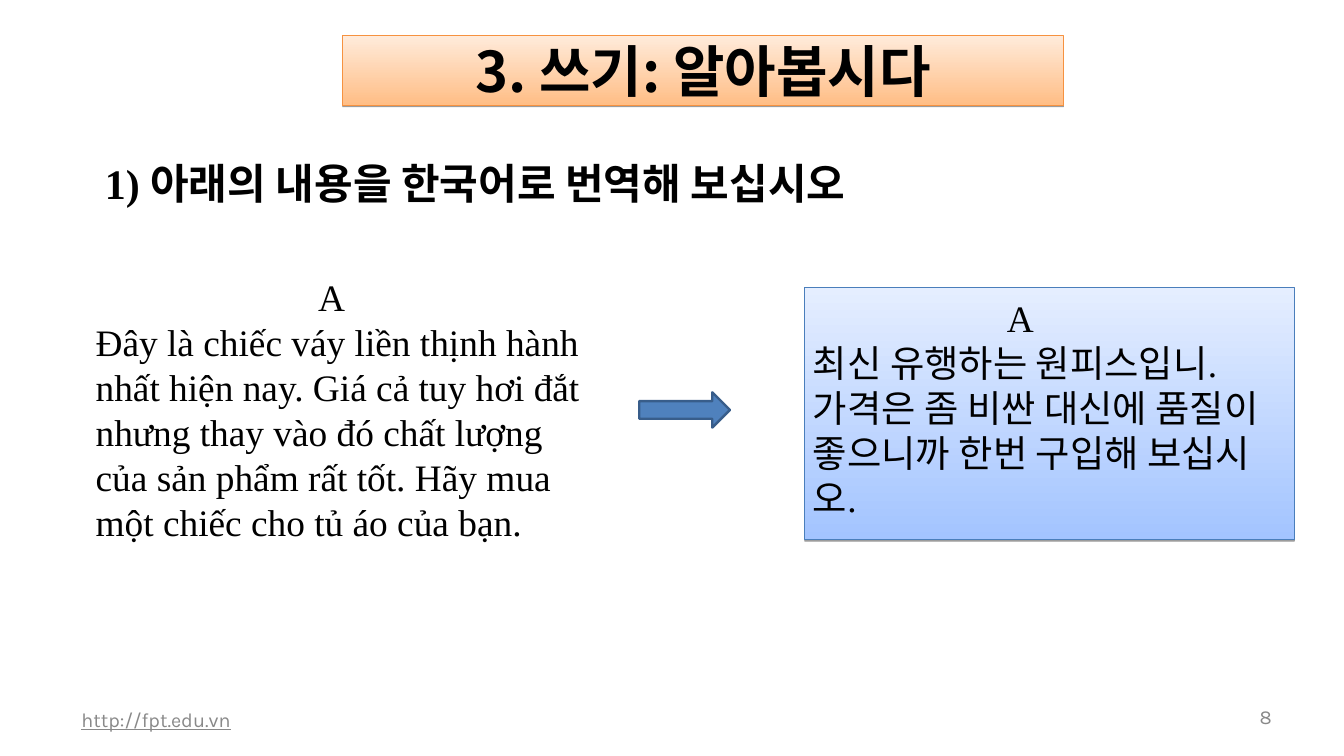
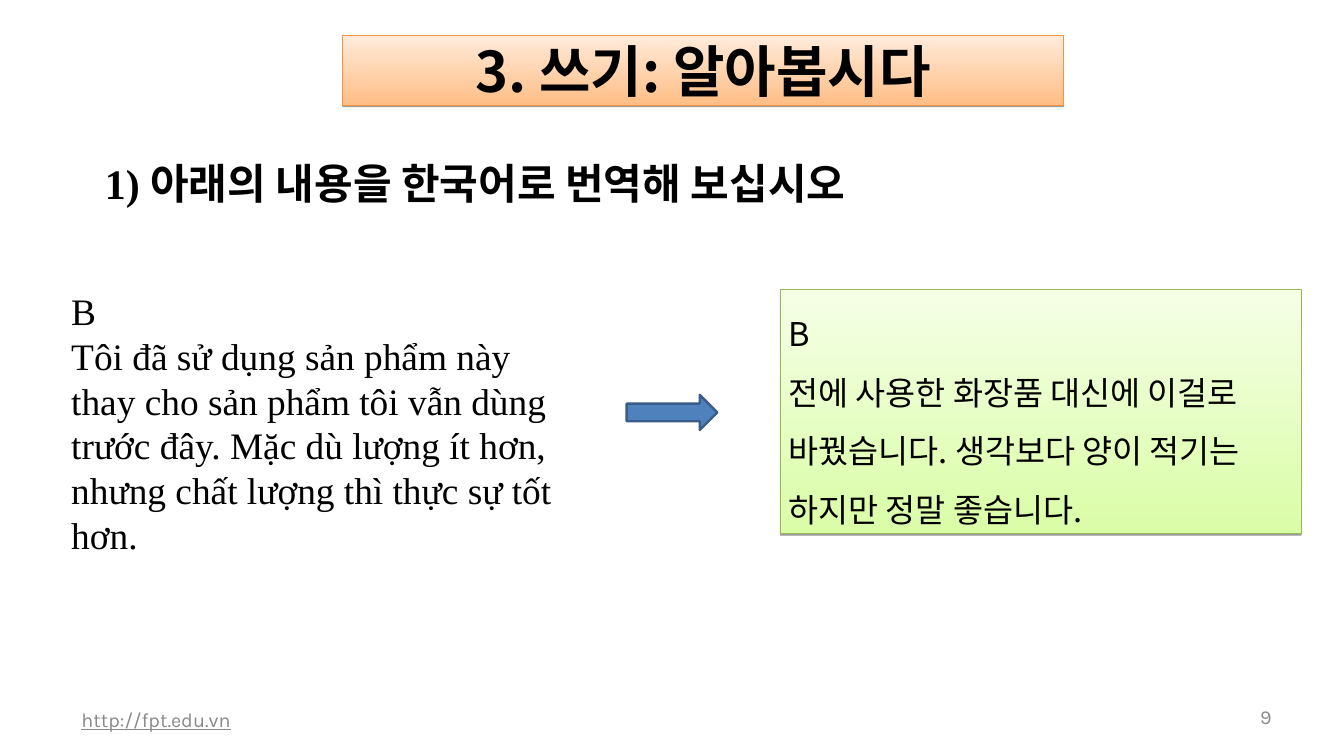
from lxml import etree
from pptx import Presentation
from pptx import util as u
from pptx.dml.color import RGBColor
from pptx.enum import shapes, text
from pptx.oxml.ns import qn

W, H = 16, 9
BLACK = RGBColor(0x00, 0x00, 0x00)
GREY = RGBColor(0x89, 0x89, 0x89)
ARROW_FILL = RGBColor(0x4F, 0x81, 0xBD)
ARROW_LINE = RGBColor(0x38, 0x5D, 0x8A)
ORANGE = (RGBColor(0xFF, 0xBE, 0x86), RGBColor(0xFF, 0xEB, 0xDB), RGBColor(0xF6, 0x92, 0x40))
BLUE = (RGBColor(0xA3, 0xC4, 0xFF), RGBColor(0xE5, 0xEE, 0xFF), RGBColor(0x4A, 0x7E, 0xBB))
GREEN = (RGBColor(0xDA, 0xFD, 0xA7), RGBColor(0xF5, 0xFF, 0xE6), RGBColor(0x98, 0xB9, 0x54))

KOREAN = "Noto Sans CJK KR"
SERIF = "Times New Roman"
TITLE = dict(name=KOREAN, size=u.Pt(48), bold=True)
HEADING = dict(name=SERIF, size=u.Pt(36), bold=True)
BODY = dict(name=SERIF, size=u.Pt(32))
BODY_KOREAN = dict(name=KOREAN, size=u.Pt(28))
FOOTER = dict(name="Karla", size=u.Pt(17))

MIDDLE = text.MSO_ANCHOR.MIDDLE
LEFT, CENTER, RIGHT = text.PP_ALIGN.LEFT, text.PP_ALIGN.CENTER, text.PP_ALIGN.RIGHT


def inches(box):
    return [u.Inches(v) for v in box]


def write(sp, lines, fmt, color=BLACK, align=LEFT, anchor=text.MSO_ANCHOR.TOP,
          pad=(0.1, 0.1), indents=(), spacing=None):
    tf = sp.text_frame
    tf.word_wrap = True
    tf.vertical_anchor = anchor
    tf.margin_left = tf.margin_right = u.Inches(pad[0])
    tf.margin_top = tf.margin_bottom = u.Inches(pad[1])
    for i, line in enumerate(lines):
        p = tf.paragraphs[0] if i == 0 else tf.add_paragraph()
        p.alignment = align
        if spacing:
            p.line_spacing = spacing
        pPr = p._p.get_or_add_pPr()
        pPr.set("hangingPunct", "0")
        if i < len(indents):
            pPr.set("marL", str(u.Inches(indents[i])))
        r = p.add_run()
        r.text = line
        for key, value in fmt.items():
            setattr(r.font, key, value)
        r.font.color.rgb = color
        ea = etree.SubElement(r._r.get_or_add_rPr(), qn("a:ea"))
        ea.set("typeface", KOREAN)


def add_text(s, box, lines, fmt, **options):
    write(s.shapes.add_textbox(*inches(box)), lines, fmt, **options)


def add_panel(s, box, palette, lines, fmt, **options):
    bottom, top, edge = palette
    sp = s.shapes.add_shape(shapes.MSO_SHAPE.RECTANGLE, *inches(box))
    sp.fill.gradient()
    sp.fill.gradient_angle = 90
    for stop, color, position in zip(sp.fill.gradient_stops, (bottom, top), (0, 1)):
        stop.color.rgb = color
        stop.position = position
    sp.line.color.rgb = edge
    sp.line.width = u.Pt(0.75)
    add_shadow(sp)
    write(sp, lines, fmt, **options)


def add_shadow(sp):
    sp.shadow.inherit = False
    effects = sp._element.spPr.find(qn("a:effectLst"))
    shadow = etree.SubElement(effects, qn("a:outerShdw"), dist=str(u.Pt(1.6)),
                              dir="5400000", rotWithShape="0")
    color = etree.SubElement(shadow, qn("a:srgbClr"), val="000000")
    etree.SubElement(color, qn("a:alpha"), val="38000")


def add_arrow(s, left, top):
    sp = s.shapes.add_shape(shapes.MSO_SHAPE.RIGHT_ARROW, *inches((left, top, 1.08, 0.42)))
    sp.shadow.inherit = False
    sp.fill.solid()
    sp.fill.fore_color.rgb = ARROW_FILL
    sp.line.color.rgb = ARROW_LINE
    sp.line.width = u.Pt(2)


def add_exercise_slide(prs, number):
    s = prs.slides.add_slide(prs.slide_layouts[6])
    footer = dict(color=GREY, anchor=MIDDLE, pad=(0.14, 0.07))
    add_text(s, (0.83, 8.33, 5.07, 0.48), ["http://fpt.edu.vn"],
             dict(FOOTER, underline=True), **footer)
    add_text(s, (14.5, 8.33, 0.78, 0.41), [str(number)], FOOTER, align=RIGHT, **footer)
    add_panel(s, (4.08, 0.42, 8.58, 0.83), ORANGE, ["3. 쓰기: 알아봅시다"], TITLE,
              align=CENTER, anchor=MIDDLE, pad=(0.1, 0.05))
    add_text(s, (1.07, 1.77, 9.68, 0.6), ["1) 아래의 내용을 한국어로 번역해 보십시오"],
             HEADING, indents=[0.08])
    return s


def main():
    prs = Presentation()
    prs.slide_width, prs.slide_height = u.Inches(W), u.Inches(H)

    s = add_exercise_slide(prs, 8)
    add_text(s, (1.04, 3.17, 6.09, 3.67),
             ["A", "Đây là chiếc váy liền thịnh hành nhất hiện nay. Giá cả tuy hơi đắt "
              "nhưng thay vào đó chất lượng của sản phẩm rất tốt. Hãy mua một chiếc "
              "cho tủ áo của bạn."], BODY, indents=[2.65])
    add_panel(s, (9.58, 3.42, 5.83, 3), BLUE,
              ["A", "최신 유행하는 원피스입니. 가격은 좀 비싼 대신에 품질이 좋으니까 "
               "한번 구입해 보십시오."], BODY, indents=[2.31])
    add_arrow(s, 7.61, 4.67)

    s = add_exercise_slide(prs, 9)
    add_arrow(s, 7.46, 4.7)
    add_text(s, (0.75, 3.33, 5.96, 2.51),
             ["B", "Tôi đã sử dụng sản phẩm này thay cho sản phẩm tôi vẫn dùng trước đây. "
              "Mặc dù lượng ít hơn, nhưng chất lượng thì thực sự tốt hơn."], BODY)
    add_panel(s, (9.29, 3.45, 6.2, 2.9), GREEN,
              ["B", "전에 사용한 화장품 대신에 이걸로 바꿨습니다. 생각보다 양이 적기는 "
               "하지만 정말 좋습니다."], BODY_KOREAN, pad=(0.1, 0.05), spacing=1.5)

    prs.save("out.pptx")


if __name__ == "__main__":
    main()
